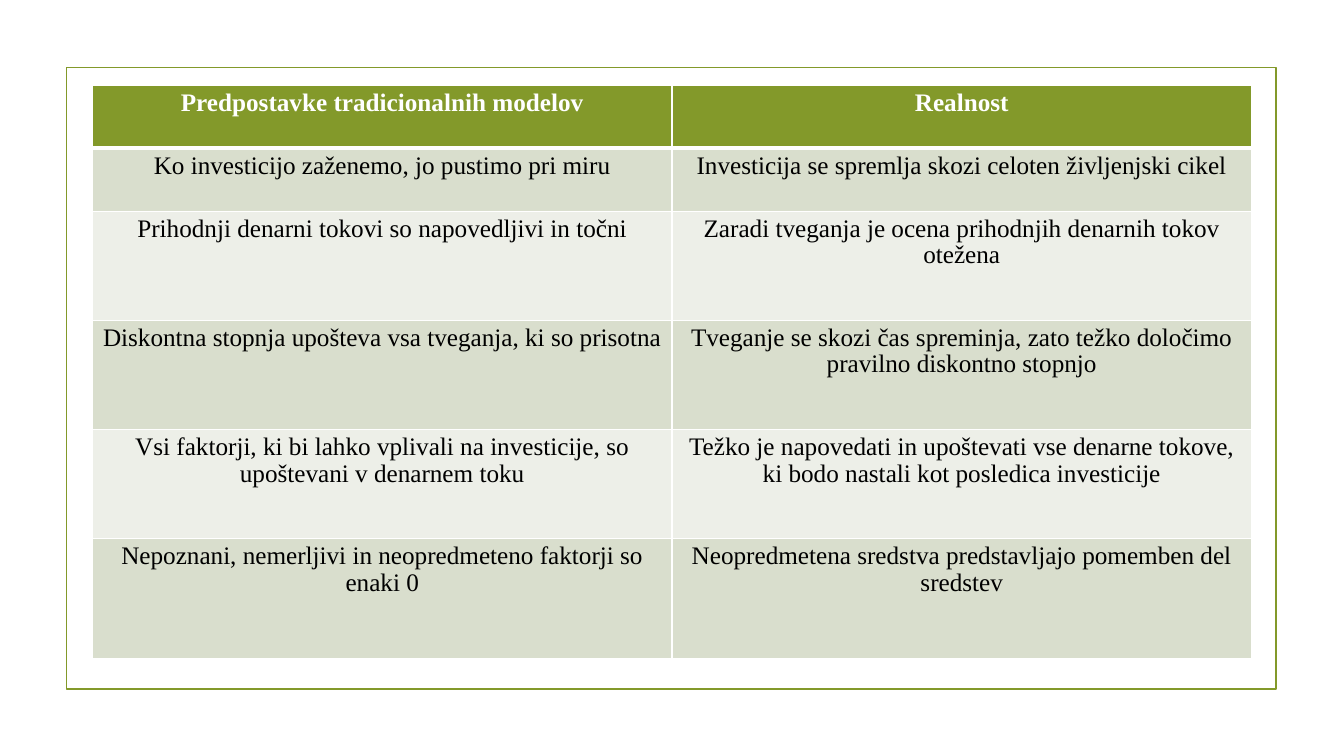
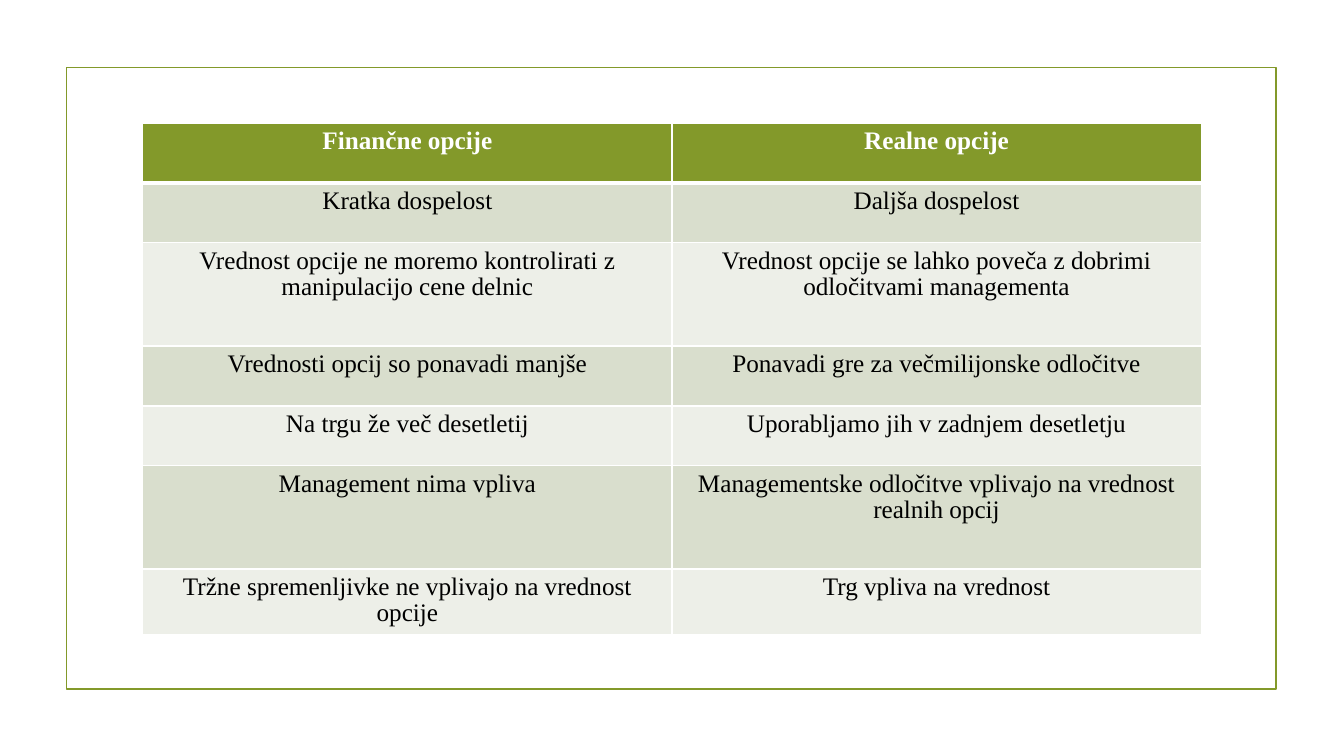
"""Build two comparison slides, each a framed two-column table."""
from dataclasses import dataclass

from lxml import etree
from pptx import Presentation
from pptx import util as u
from pptx.dml.color import RGBColor
from pptx.enum import shapes, text
from pptx.oxml import ns


@dataclass(frozen=True)
class Theme:
    accent: str = "83992A"
    band_dark: str = "D9DECD"
    band_light: str = "EDEFE8"
    white: str = "FFFFFF"
    ink: str = "000000"
    font: str = "Times New Roman"
    size: float = 18
    line_spacing: float = 0.95
    frame_line: float = 1.25
    grid_line: float = 1
    header_line: float = 3


THEME = Theme()
PAGE_WIDTH, PAGE_HEIGHT = 33.87, 19.05
FRAME = (1.68, 1.7, 30.48, 15.67)

MODELS = [
    ("Predpostavke tradicionalnih modelov", "Realnost"),
    ("Ko investicijo zaženemo, jo pustimo pri miru",
     "Investicija se spremlja skozi celoten življenjski cikel"),
    ("Prihodnji denarni tokovi so napovedljivi in točni",
     "Zaradi tveganja je ocena prihodnjih denarnih tokov otežena"),
    ("Diskontna stopnja upošteva vsa tveganja, ki so prisotna",
     "Tveganje se skozi čas spreminja, zato težko določimo pravilno diskontno stopnjo"),
    ("Vsi faktorji, ki bi lahko vplivali na investicije, so upoštevani v denarnem toku",
     "Težko je napovedati in upoštevati vse denarne tokove, "
     "ki bodo nastali kot posledica investicije"),
    ("Nepoznani, nemerljivi in neopredmeteno faktorji so enaki 0",
     "Neopredmetena sredstva predstavljajo pomemben del sredstev"),
]
MODEL_HEIGHTS = [1.59, 1.59, 2.75, 2.75, 2.75, 3.02]

OPTIONS = [
    ("Finančne opcije", "Realne opcije"),
    ("Kratka dospelost", "Daljša dospelost"),
    ("Vrednost opcije ne moremo kontrolirati z manipulacijo cene delnic",
     "Vrednost opcije se lahko poveča z dobrimi odločitvami managementa"),
    ("Vrednosti opcij so ponavadi manjše", "Ponavadi gre za večmilijonske odločitve"),
    ("Na trgu že več desetletij", "Uporabljamo jih v zadnjem desetletju"),
    ("Management nima vpliva",
     "Managementske odločitve vplivajo na vrednost realnih opcij"),
    ("Tržne spremenljivke ne vplivajo na vrednost opcije", "Trg vpliva na vrednost"),
]
OPTION_HEIGHTS = [1.51, 1.51, 2.6, 1.51, 1.51, 2.6, 1.65]


def rgb(value):
    """Turn a hex string into a colour."""
    return RGBColor.from_string(value)


def add_frame(page):
    """Draw the thin outline shared by all pages."""
    frame = page.shapes.add_shape(
        shapes.MSO_SHAPE.RECTANGLE, *(u.Cm(length) for length in FRAME))
    frame.shadow.inherit = False
    frame.fill.background()
    frame.line.color.rgb = rgb(THEME.accent)
    frame.line.width = u.Pt(THEME.frame_line)


def set_borders(cell, row):
    """Give a cell white borders, heavier below the header."""
    properties = cell._tc.get_or_add_tcPr()
    heavy_side = {0: "lnB", 1: "lnT"}.get(row)
    for side in ("lnL", "lnR", "lnT", "lnB"):
        width = THEME.header_line if side == heavy_side else THEME.grid_line
        line = etree.SubElement(properties, ns.qn(f"a:{side}"), w=str(u.Pt(width)))
        fill = etree.SubElement(line, ns.qn("a:solidFill"))
        etree.SubElement(fill, ns.qn("a:srgbClr"), val=THEME.white)


def fill_cell(cell, words, row):
    """Write and style one cell according to its row."""
    header = row == 0
    band = THEME.band_dark if row % 2 else THEME.band_light
    set_borders(cell, row)
    cell.fill.solid()
    cell.fill.fore_color.rgb = rgb(THEME.accent if header else band)
    cell.text = words
    para = cell.text_frame.paragraphs[0]
    para.alignment = text.PP_ALIGN.CENTER
    para.line_spacing = THEME.line_spacing
    para.font.name = THEME.font
    para.font.size = u.Pt(THEME.size)
    para.font.bold = header
    para.font.color.rgb = rgb(THEME.white if header else THEME.ink)


def add_comparison(page, rows, heights, top, width):
    """Add a horizontally centred table with equal columns."""
    columns = len(rows[0])
    table = page.shapes.add_table(
        len(rows), columns, u.Cm((PAGE_WIDTH - width) / 2), u.Cm(top),
        u.Cm(width), u.Cm(sum(heights))).table
    for column in table.columns:
        column.width = u.Cm(width / columns)
    for row, (entries, height) in enumerate(zip(rows, heights)):
        table.rows[row].height = u.Cm(height)
        for column, words in enumerate(entries):
            fill_cell(table.cell(row, column), words, row)


def main():
    """Build and save the deck."""
    deck = Presentation()
    deck.slide_width, deck.slide_height = u.Cm(PAGE_WIDTH), u.Cm(PAGE_HEIGHT)
    blank = deck.slide_layouts[6]
    for rows, heights, top, width in (
            (MODELS, MODEL_HEIGHTS, 2.14, 29.21),
            (OPTIONS, OPTION_HEIGHTS, 3.1, 26.67)):
        page = deck.slides.add_slide(blank)
        add_frame(page)
        add_comparison(page, rows, heights, top, width)
    deck.save("out.pptx")


if __name__ == "__main__":
    main()
